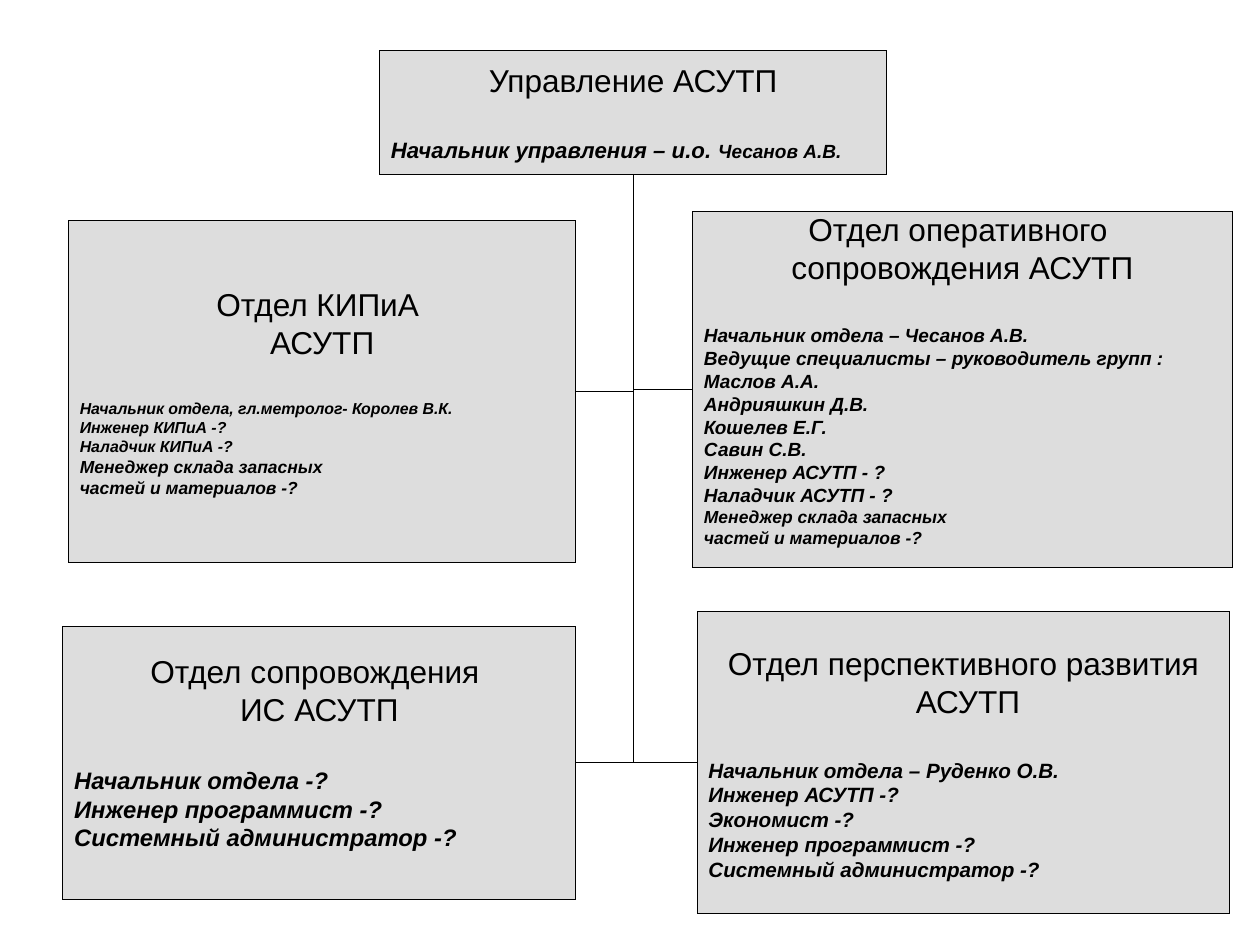
import pptx
import pptx.dml.color
import pptx.enum.shapes
import pptx.enum.text
import pptx.oxml.ns
import pptx.util
from lxml import etree

GREY = pptx.dml.color.RGBColor(0xDD, 0xDD, 0xDD)
BLACK = pptx.dml.color.RGBColor(0, 0, 0)
FONT = "Arial"
HEAD = 19.9
GAP = 23.9
THIN = pptx.util.Pt(0.01)
LEFT, BOTTOM, RIGHT = 1, 2, 3

ROOT = (
    (30.13, 5.3, 40.26, 13.14), 0, ["Управление АСУТП"],
    [(14, "Начальник управления – и.о. ", 12, "Чесанов А.В.")],
)
UNITS = [
    ((54.98, 22.37, 42.82, 37.7), 13,
     ["Отдел оперативного ", "сопровождения АСУТП"],
     [(12, "Начальник отдела – Чесанов А.В."),
      (12, "Ведущие специалисты – руководитель групп :"),
      (12, "Маслов А.А."),
      (12, "Андрияшкин Д.В."),
      (12, "Кошелев Е.Г."),
      (12, "Савин С.В."),
      (12, "Инженер АСУТП - ?"),
      (12, "Наладчик АСУТП - ?"),
      (11, "Менеджер склада запасных"),
      (11, "частей и материалов -?")]),
    ((4.99, 66.26, 40.72, 28.9), 13.8,
     ["Отдел сопровождения ", "ИС АСУТП"],
     [(15, "Начальник отдела -?"),
      (15, "Инженер программист -?"),
      (15, "Системный администратор -?")]),
    ((55.34, 64.69, 42.27, 32.04), 0,
     ["Отдел перспективного развития", " АСУТП"],
     [(13, "Начальник отдела – Руденко О.В."),
      (13, "Инженер АСУТП -?"),
      (13, "Экономист -?"),
      (13, "Инженер программист -?"),
      (13, "Системный администратор -?")]),
    ((5.44, 23.34, 40.26, 36.15), 0,
     ["Отдел КИПиА ", "АСУТП"],
     [(10, "Начальник отдела, гл.метролог- Королев В.К."),
      (10, "Инженер КИПиА -?"),
      (10, "Наладчик КИПиА -?"),
      (11, "Менеджер склада запасных"),
      (11, "частей и материалов -?")]),
]

deck = pptx.Presentation()
deck.slide_width = pptx.util.Cm(28)
deck.slide_height = pptx.util.Cm(21)
slide = deck.slides.add_slide(deck.slide_layouts[6])


def add_run(para, text, size, bold):
    run = para.add_run()
    run.text = text
    font = run.font
    font.name, font.size = FONT, pptx.util.Pt(size)
    font.bold = font.italic = bold
    font.color.rgb = BLACK


def add_box(area, foot, title, staff):
    sides = (deck.slide_width, deck.slide_height) * 2
    spot = [round(part * side / 100) for part, side in zip(area, sides)]
    box = slide.shapes.add_shape(pptx.enum.shapes.MSO_SHAPE.RECTANGLE, *spot)
    box.shadow.inherit = False
    box.fill.solid()
    box.fill.fore_color.rgb = GREY
    box.line.color.rgb = BLACK
    box.line.width = THIN
    frame = box.text_frame
    frame.word_wrap = False
    frame.vertical_anchor = pptx.enum.text.MSO_ANCHOR.MIDDLE
    frame.margin_bottom = pptx.util.Inches(0.05) + pptx.util.Pt(foot)
    rows = [(HEAD, text) for text in title] + staff
    align = pptx.enum.text.PP_ALIGN
    for i, row in enumerate(rows):
        para = frame.paragraphs[0] if i == 0 else frame.add_paragraph()
        lower = i >= len(title)
        para.alignment = align.LEFT if lower else align.CENTER
        if i == len(title):
            para.space_before = pptx.util.Pt(GAP)
        for size, text in zip(row[::2], row[1::2]):
            add_run(para, text, size, lower)
    return box


def add_link(root, box):
    x, y = root.left + root.width // 2, root.top + root.height
    right = box.left > x
    end = box.left if right else box.left + box.width
    mid = box.top + box.height // 2
    kind = pptx.enum.shapes.MSO_CONNECTOR.ELBOW
    link = slide.shapes.add_connector(kind, x, y, end, mid)
    link.begin_connect(root, BOTTOM)
    link.end_connect(box, LEFT if right else RIGHT)
    drop, reach = mid - y, abs(end - x)
    link.left, link.top = (x + end - drop) // 2, (y + mid - reach) // 2
    link.width, link.height = drop, reach
    link.line.color.rgb = BLACK
    link.line.width = THIN
    props = link._element.spPr
    turn = props.find(pptx.oxml.ns.qn("a:xfrm"))
    turn.set("rot", str((270 if right else 90) * 60000))
    turn.set("flipH", "1" if right else "0")
    turn.set("flipV", "0")
    props.find(pptx.oxml.ns.qn("a:prstGeom")).set("prst", "bentConnector2")
    etree.SubElement(props, pptx.oxml.ns.qn("a:effectLst"))


root = add_box(*ROOT)
units = [add_box(*unit) for unit in UNITS]
for box in sorted(units, key=lambda unit: unit.top):
    add_link(root, box)

deck.save("out.pptx")
